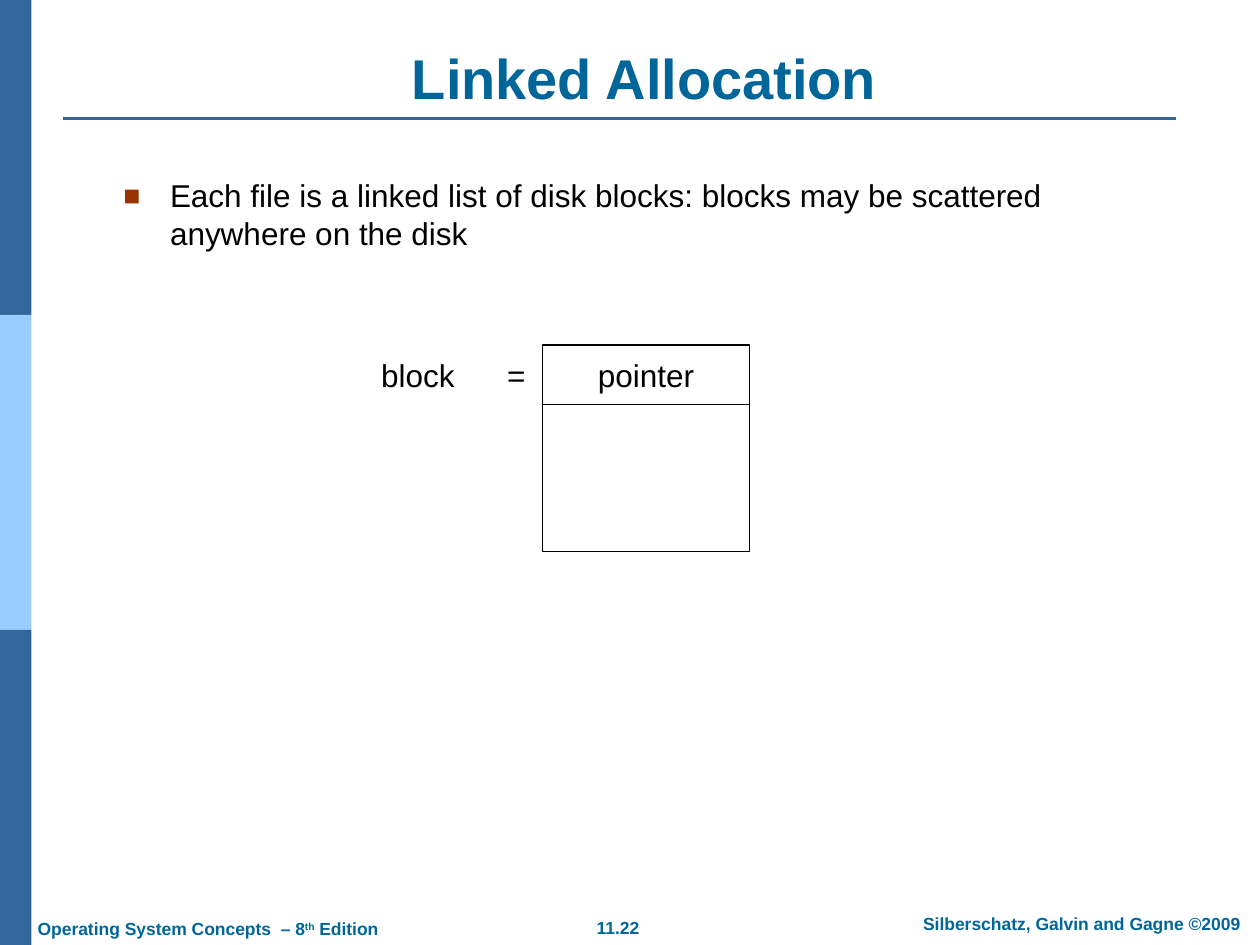
from lxml import etree
from pptx import Presentation
from pptx.dml.color import RGBColor
from pptx.enum.shapes import MSO_CONNECTOR, MSO_SHAPE
from pptx.enum.text import MSO_ANCHOR, PP_ALIGN
from pptx.oxml.ns import qn
from pptx.util import Pt

LEFT, CENTER = PP_ALIGN.LEFT, PP_ALIGN.CENTER
TOP, MIDDLE, BOTTOM = MSO_ANCHOR.TOP, MSO_ANCHOR.MIDDLE, MSO_ANCHOR.BOTTOM
RECTANGLE, STRAIGHT = MSO_SHAPE.RECTANGLE, MSO_CONNECTOR.STRAIGHT
PAGE_WIDTH, PAGE_HEIGHT = 720, 540
TEAL, BLUE, SKY, RUST = "006699", "336699", "99CCFF", "993300"
BLACK, WHITE = "000000", "FFFFFF"


def color(value):
    """Turn a hex string into a colour."""
    return RGBColor.from_string(value)


def add_element(parent, tag, **attributes):
    """Append a drawing element with the given attributes."""
    element = etree.SubElement(parent, qn(tag))
    for name, value in attributes.items():
        element.set(name, str(value))
    return element


def write(shape, text, size=18, ink=BLACK, bold=False, align=LEFT, anchor=TOP,
          superscript=None, bullet=None, tab=None):
    """Write one paragraph into a shape, raising the superscript part."""
    frame = shape.text_frame
    frame.word_wrap = True
    frame.vertical_anchor = anchor
    para = frame.paragraphs[0]
    para.alignment = align
    para.space_before = Pt(0)
    properties = para._p.get_or_add_pPr()
    if bullet:
        properties.set("marL", str(Pt(26.64)))
        properties.set("indent", str(-Pt(26.64)))
        add_element(add_element(properties, "a:buClr"), "a:srgbClr", val=RUST)
        add_element(properties, "a:buSzPct", val=90000)
        add_element(properties, "a:buFont", typeface="Arial")
        add_element(properties, "a:buChar", char=bullet)
    if tab:
        add_element(add_element(properties, "a:tabLst"), "a:tab", pos=Pt(tab), algn="l")
    font = para.font
    font.name, font.size, font.bold = "Arial", Pt(size), bold
    font.color.rgb = color(ink)
    for part in text if superscript else [text]:
        span = para.add_run()
        span.text = part
        span.font.name, span.font.size, span.font.bold = "Arial", Pt(size), bold
        span.font.color.rgb = color(ink)
        if superscript and part == superscript:
            span._r.get_or_add_rPr().set("baseline", "30000")


def add_text(page, box, text, **style):
    """Place a text box at left, top, width, height."""
    write(page.shapes.add_textbox(*map(Pt, box)), text, **style)


def add_rectangle(page, box, fill, line=None):
    """Place a flat rectangle with an optional outline."""
    shape = page.shapes.add_shape(RECTANGLE, *map(Pt, box))
    shape.shadow.inherit = False
    shape.fill.solid()
    shape.fill.fore_color.rgb = color(fill)
    if line:
        shape.line.color.rgb = color(line)
        shape.line.width = Pt(0.75)
    else:
        shape.line.fill.background()
    return shape


def add_side_bar(page, box):
    """Fill the box with three equal colour bands."""
    left, top, width, height = box
    band = height / 3
    for row, fill in enumerate((BLUE, SKY, BLUE)):
        add_rectangle(page, (left, top + row * band, width, band), fill)


def add_heading(page, box, text):
    """Place the title with a rule beneath it."""
    left, top, width, height = box
    add_text(page, box, text, size=32, ink=TEAL, bold=True, align=CENTER, anchor=BOTTOM)
    rule_top = Pt(top + height + 0.7)
    rule = page.shapes.add_connector(STRAIGHT, Pt(left - 16.6), rule_top,
                                     Pt(left + width - 12.2), rule_top)
    rule.line.color.rgb = color(BLUE)
    rule.line.width = Pt(1.5)
    add_element(rule._element.spPr, "a:effectLst")


def add_block_diagram(page, box):
    """Draw a labelled disk block whose first part is a pointer."""
    left, top, width, height = box
    block_width, pointer_height = 118.2, 34
    block_left = left + width - block_width
    pointer = add_rectangle(page, (block_left, top, block_width, pointer_height), WHITE, BLACK)
    write(pointer, "pointer", align=CENTER, anchor=MIDDLE)
    add_rectangle(page, (block_left, top + pointer_height, block_width,
                         height - pointer_height), WHITE, BLACK)
    add_text(page, (left, top + 2.4, 98, 29), "block\t=", anchor=MIDDLE, tab=72)


def add_footer(page, box):
    """Place the book, page number and authors along the bottom."""
    left, top, width, height = box
    style = {"size": 10, "ink": TEAL, "bold": True}
    add_text(page, (left, top + 2.9, 212.4, height),
             ("Operating System Concepts  – 8", "th", " Edition"), superscript="th", **style)
    add_text(page, (left + 318.3, top + 2.2, 41, height), "11.22", align=CENTER, **style)
    add_text(page, (left + width - 213.8, top, 213.8, height),
             "Silberschatz, Galvin and Gagne ©2009", align=CENTER, **style)


def main():
    """Build and save the slide."""
    deck = Presentation()
    deck.slide_width, deck.slide_height = Pt(PAGE_WIDTH), Pt(PAGE_HEIGHT)
    page = deck.slides.add_slide(deck.slide_layouts[6])
    add_side_bar(page, (0, 0, 18, PAGE_HEIGHT))
    add_heading(page, (52.6, 21.6, 631.4, 45.4), "Linked Allocation")
    add_text(page, (63.4, 97.2, 596.9, 59),
             "Each file is a linked list of disk blocks: blocks may be scattered "
             "anywhere on the disk", bullet="■")
    add_block_diagram(page, (210.7, 197.1, 217.6, 118.2))
    add_footer(page, (14.4, 518.4, 710.6, 19.4))
    deck.save("out.pptx")


if __name__ == "__main__":
    main()
